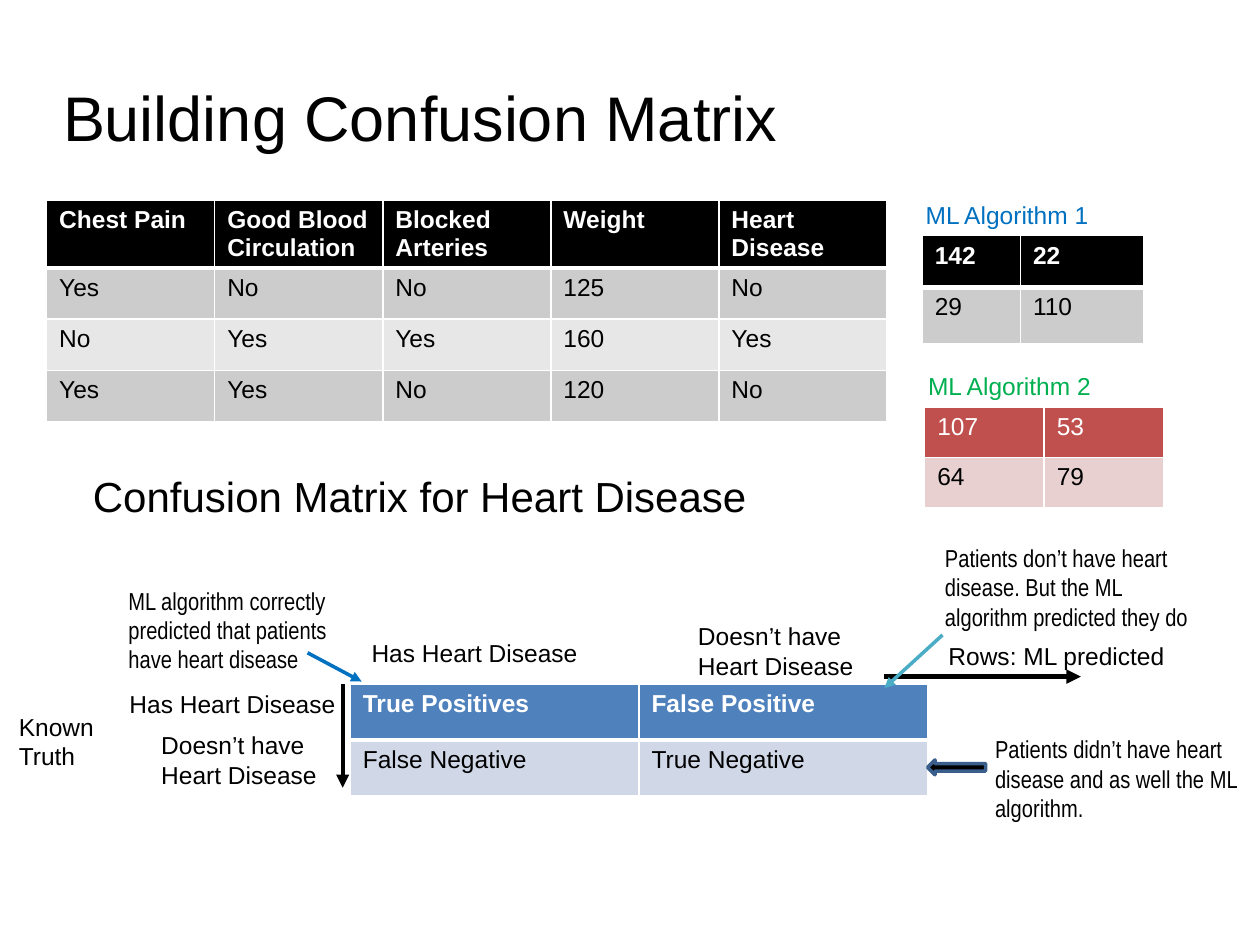
from lxml.etree import SubElement
from pptx import Presentation
from pptx.dml.color import RGBColor
from pptx.enum.shapes import MSO_CONNECTOR, MSO_SHAPE
from pptx.enum.text import MSO_ANCHOR, MSO_AUTO_SIZE, PP_ALIGN
from pptx.oxml.ns import qn
from pptx.util import Cm, Pt

BLACK, WHITE = "000000", "FFFFFF"
BLUE, GREEN, TEAL = "0070C0", "00B050", "4BACC6"
NARROW = "Arial Narrow"


def rgb(color):
    return RGBColor.from_string(color)


def write(paragraph, text, size=14, color=BLACK, font="Arial", bold=False):
    run = paragraph.add_run()
    run.text = text
    run.font.name = font
    run.font.size = Pt(size)
    run.font.bold = bold
    run.font.color.rgb = rgb(color)


def add_text(slide, left, top, width, height, lines, align=PP_ALIGN.LEFT, **style):
    box = slide.shapes.add_textbox(Cm(left), Cm(top), Cm(width), Cm(height))
    frame = box.text_frame
    frame.word_wrap = True
    frame.auto_size = MSO_AUTO_SIZE.SHAPE_TO_FIT_TEXT
    for index, line in enumerate(lines):
        paragraph = frame.add_paragraph() if index else frame.paragraphs[0]
        paragraph.alignment = align
        write(paragraph, line, **style)


def add_arrow(slide, x1, y1, x2, y2, color, width):
    line = slide.shapes.add_connector(
        MSO_CONNECTOR.STRAIGHT, Cm(x1), Cm(y1), Cm(x2), Cm(y2))
    line.line.color.rgb = rgb(color)
    line.line.width = Pt(width)
    properties = line._element.spPr
    SubElement(properties.find(qn("a:ln")), qn("a:tailEnd"), type="triangle")
    SubElement(properties, qn("a:effectLst"))


def set_borders(cell, widths):
    properties = cell._tc.get_or_add_tcPr()
    for side, width in zip("LRTB", widths):
        line = SubElement(properties, qn(f"a:ln{side}"), w=str(Pt(width)))
        fill = SubElement(line, qn("a:solidFill"))
        SubElement(fill, qn("a:srgbClr"), val=WHITE)


def add_table(slide, left, top, columns, heights, rows, fills, bold=True, rule=3):
    """Header row in white text, with a rule of the given width below it."""
    table = slide.shapes.add_table(
        len(rows), len(columns), Cm(left), Cm(top),
        Cm(sum(columns)), Cm(sum(heights))).table
    for column, width in zip(table.columns, columns):
        column.width = Cm(width)
    for r, (values, height, fill) in enumerate(zip(rows, heights, fills)):
        table.rows[r].height = Cm(height)
        header = r == 0
        widths = (1, 1, rule if r == 1 else 1, rule if header else 1)
        for c, value in enumerate(values):
            cell = table.cell(r, c)
            set_borders(cell, widths)
            cell.fill.solid()
            cell.fill.fore_color.rgb = rgb(fill)
            write(cell.text_frame.paragraphs[0], value,
                  color=WHITE if header else BLACK, bold=header and bold)


def add_title(slide, left, top, width, height):
    title = slide.shapes.title
    title.left, title.top = Cm(left), Cm(top)
    title.width, title.height = Cm(width), Cm(height)
    frame = title.text_frame
    frame.margin_left = frame.margin_right = 0
    frame.margin_top = frame.margin_bottom = 0
    frame.vertical_anchor = MSO_ANCHOR.MIDDLE
    frame.paragraphs[0].alignment = PP_ALIGN.LEFT
    write(frame.paragraphs[0], "Building Confusion Matrix", size=36)


def add_patient_data(slide, left, top, width):
    rows = [
        ["Chest Pain", "Good Blood Circulation", "Blocked Arteries",
         "Weight", "Heart Disease"],
        ["Yes", "No", "No", "125", "No"],
        ["No", "Yes", "Yes", "160", "Yes"],
        ["Yes", "Yes", "No", "120", "No"],
    ]
    add_table(slide, left, top, [width / 5] * 5, [1.36] + [1.03] * 3, rows,
              [BLACK, "CCCCCC", "E7E7E7", "CCCCCC"])


def add_algorithm(slide, left, top, name, color, *table, **options):
    add_text(slide, left - 0.18, top - 0.85, 5.8, 2.06, [name], color=color)
    add_table(slide, left, top, *table, **options)


def add_matrix(slide, left, top, width, height):
    add_table(slide, left, top, [width / 2] * 2, [height / 2] * 2,
              [["True Positives", "False Positive"],
               ["False Negative", "True Negative"]], ["4F81BD", "D0D8E8"])

    # Axis and class labels
    has, has_not = ["Has Heart Disease"], ["Doesn’t have", "Heart Disease"]
    labels = [
        (-6.93, 0.43, 2.39, 1.45, ["Known Truth"]),
        (11.81, -0.99, 5.18, 0.86, ["Rows: ML predicted"]),
        (0.18, -1.06, 5.41, 0.86, has),
        (6.76, -1.39, 4.32, 1.45, has_not),
        (-4.7, -0.02, 5.41, 0.86, has),
        (-4.06, 0.81, 4.62, 1.45, has_not),
    ]
    for x, y, w, h, lines in labels:
        add_text(slide, left + x, top + y, w, h, lines)

    # Explanations of the cells
    notes = [
        (-4.72, -2.11, 5.36, "ML algorithm correctly predicted that patients "
                             "have heart disease"),
        (11.74, -2.97, 5.79, "Patients don’t have heart disease. But the ML "
                             "algorithm predicted they do"),
        (12.75, 0.89, 5.79, "Patients didn’t have heart disease and as well "
                            "the ML algorithm."),
    ]
    for x, y, w, note in notes:
        add_text(slide, left + x, top + y, w, 2.06, [note], font=NARROW)

    # Axis arrows, then pointers to the cells
    arrows = [
        (-0.15, 0, -0.15, 2.09, BLACK, 2.5),
        (10.77, -0.15, 14.73, -0.15, BLACK, 2.75),
        (-0.86, -0.63, 0.23, -0.05, BLUE, 2),
        (11.94, -0.99, 10.77, 0.08, TEAL, 2),
    ]
    for x1, y1, x2, y2, color, weight in arrows:
        add_arrow(slide, left + x1, top + y1, left + x2, top + y2, color, weight)

    block = slide.shapes.add_shape(
        MSO_SHAPE.LEFT_ARROW, Cm(left + width), Cm(top + 1.53), Cm(1.17), Cm(0.3))
    block.shadow.inherit = False
    block.fill.solid()
    block.fill.fore_color.rgb = rgb(BLACK)
    block.line.color.rgb = rgb("3A5F8C")
    block.line.width = Pt(2)


def main():
    presentation = Presentation()
    presentation.slide_width, presentation.slide_height = Cm(25.4), Cm(19.05)
    slide = presentation.slides.add_slide(presentation.slide_layouts[5])

    add_title(slide, 1.27, 0.76, 22.86, 3.18)
    add_patient_data(slide, 0.94, 4.04, 16.94)
    add_algorithm(slide, 18.59, 4.75, "ML Algorithm 1", BLUE,
                  [1.98, 2.49], [1.04, 1.14],
                  [["142", "22"], ["29", "110"]], [BLACK, "CCCCCC"])
    add_algorithm(slide, 18.64, 8.2, "ML Algorithm 2", GREEN,
                  [2.41] * 2, [1.02] * 2,
                  [["107", "53"], ["64", "79"]], ["C0504D", "E8D0D0"],
                  bold=False, rule=1)
    add_text(slide, 0.94, 9.37, 15.04, 1.27, ["Confusion Matrix for Heart Disease"],
             align=PP_ALIGN.CENTER, size=24)
    add_matrix(slide, 7.06, 13.79, 11.64, 2.26)

    presentation.save("out.pptx")


if __name__ == "__main__":
    main()
